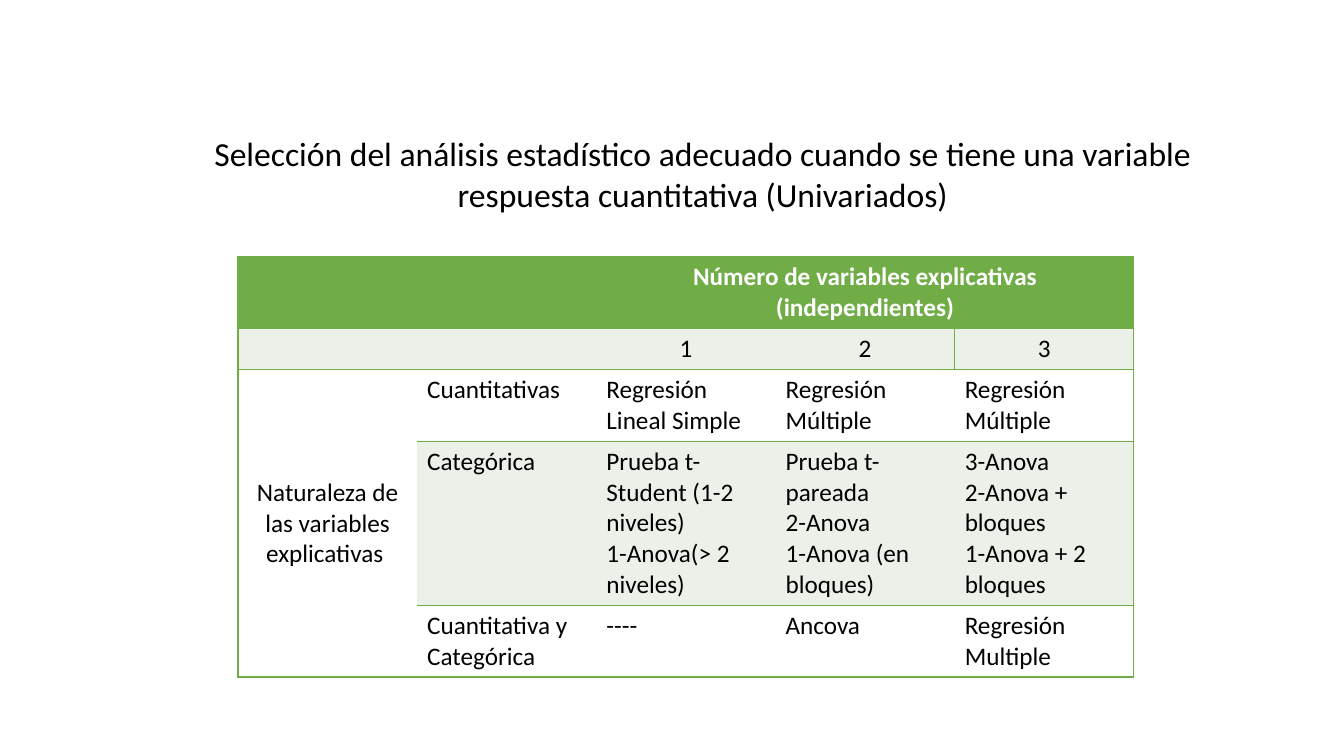
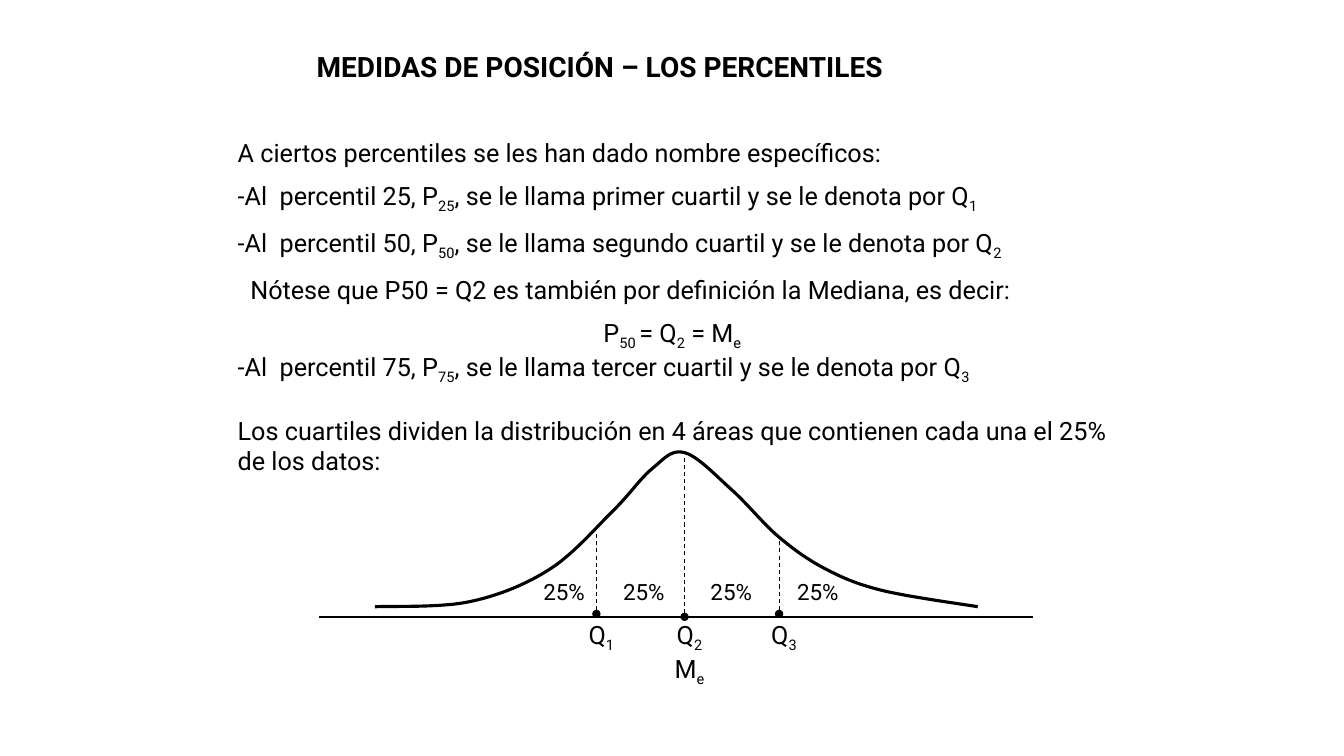
from dataclasses import dataclass

from lxml.etree import SubElement
from pptx import Presentation
from pptx.dml.color import RGBColor
from pptx.enum.dml import MSO_LINE_DASH_STYLE as Dash
from pptx.enum.shapes import MSO_CONNECTOR_TYPE as Connector
from pptx.enum.text import MSO_ANCHOR as Anchor, MSO_AUTO_SIZE as AutoSize, PP_ALIGN as Align
from pptx.oxml import parse_xml
from pptx.oxml.ns import nsdecls, qn
from pptx.util import Pt


@dataclass(frozen=True)
class Theme:
    ink: str = "000000"
    white: str = "FFFFFF"
    green: str = "70AD47"
    band: str = "EBF1E9"
    table_font: str = "Calibri"
    text_font: str = "Roboto"
    headline: int = 24
    heading: int = 20
    body: int = 18
    share: int = 16


THEME = Theme()
PLAIN_TABLE = "{2D5ABB26-0587-4C30-8999-92F81FD0307C}"

ANALYSIS_TITLE = (
    "Selección del análisis estadístico adecuado cuando se tiene una variable "
    "respuesta cuantitativa (Univariados)"
)
ANALYSIS_ROWS = [
    ["", "", "Número de variables explicativas (independientes)", "", ""],
    ["", "", "1", "2", "3"],
    ["Naturaleza de las variables explicativas ", "Cuantitativas",
     "Regresión Lineal Simple", "Regresión Múltiple", "Regresión Múltiple"],
    ["", "Categórica",
     "Prueba t-Student (1-2 niveles)\n1-Anova(> 2 niveles)",
     "Prueba t-pareada\n2-Anova\n1-Anova (en bloques)",
     "3-Anova\n2-Anova + bloques\n1-Anova + 2 bloques"],
    ["", "Cuantitativa y Categórica", "----", "Ancova", "Regresión Multiple"],
]
ROW_HEIGHTS = (51, 29.5, 51, 117, 51)
COLUMN_WIDTH = 128
MERGES = [((0, 0), (0, 1)), ((0, 2), (0, 4)), ((1, 0), (1, 1)), ((2, 0), (4, 0))]
HEADER_DIVIDER = (1, 4)

PERCENTILE_TITLE = "MEDIDAS DE POSICIÓN – LOS PERCENTILES"
PERCENTILE_TEXT = [
    ("A ciertos percentiles se les han dado nombre específicos:", Align.JUSTIFY, 0, 0),
    ("-Al  percentil 25, P|25|, se le llama primer cuartil y se le denota por Q|1", Align.JUSTIFY, 9, 0),
    ("-Al  percentil 50, P|50|, se le llama segundo cuartil y se le denota por Q|2", Align.JUSTIFY, 9, 0),
    ("Nótese que P50 = Q2 es también por definición la Mediana, es decir:", Align.JUSTIFY, 9, 9),
    ("P|50 |= Q|2| = M|e", Align.CENTER, 9, 0),
    ("-Al  percentil 75, P|75|, se le llama tercer cuartil y se le denota por Q|3", Align.LEFT, 0, 0),
    ("Los cuartiles dividen la distribución en 4 áreas que contienen cada una el 25% de los datos:",
     Align.JUSTIFY, 21, 0),
]
QUARTILES = [
    (("Q|1",), 426, 438.5, 380),
    (("Q|2", "M|e"), 489, 440.6, 327),
    (("Q|3",), 556.5, 438.5, 386),
]
SHARE_LABEL = "25%"
SHARE_LEFTS = (381, 438, 500.4, 562.3)
BELL_POINTS = [
    (267.8, 433.4), (335.5, 429.8), (392.4, 406.8), (437.8, 365), (465.8, 334.8), (488.9, 323.3),
    (522.7, 349.9), (556.6, 383.8), (590.4, 406.8), (630.7, 421.9), (698.4, 433.4),
]
CURVE_STEPS = 12


def rgb(value):
    return RGBColor.from_string(value)


def assign(target, values):
    for key, value in values.items():
        setattr(target, key, value)


def write(paragraph, marked_text, font, size, color=THEME.ink, bold=False, **layout):
    assign(paragraph, layout)
    for index, part in enumerate(marked_text.split("|")):
        run = paragraph.add_run()
        run.text = part
        assign(run.font, {"name": font, "size": Pt(size), "bold": bold})
        run.font.color.rgb = rgb(color)
        if index % 2:
            run.font._element.set("baseline", "-25000")


def next_paragraph(frame, index):
    return frame.add_paragraph() if index else frame.paragraphs[0]


def place(shape, left, top, width, height):
    assign(shape, {"left": Pt(left), "top": Pt(top), "width": Pt(width), "height": Pt(height)})
    assign(shape.text_frame, {
        "word_wrap": True, "auto_size": AutoSize.NONE, "vertical_anchor": Anchor.TOP,
    })
    return shape.text_frame


def add_text(slide, box):
    return place(slide.shapes.add_textbox(0, 0, 0, 0), *box)


def add_titled_slide(deck, text, box, font, size, align, bold=False):
    slide = deck.slides.add_slide(deck.slide_layouts[5])
    frame = place(slide.shapes.title, *box)
    write(frame.paragraphs[0], text, font, size, bold=bold, alignment=align, line_spacing=1.0)
    return slide


def add_line(slide, start, end, width, dash=None, dot=False):
    line = slide.shapes.add_connector(Connector.STRAIGHT, *(Pt(n) for n in (*start, *end)))
    line.line.color.rgb = rgb(THEME.ink)
    line.line.width = Pt(width)
    if dash:
        line.line.dash_style = dash
    if dot:
        SubElement(line.line._get_or_add_ln(), qn("a:headEnd"), type="oval")
    SubElement(line._element.spPr, qn("a:effectLst"))


def draw_borders(cell, sides):
    properties = cell._tc.get_or_add_tcPr()
    for index, side in enumerate(sides):
        properties.insert(index, parse_xml(
            f'<a:ln{side} {nsdecls("a")} w="{Pt(1)}"><a:solidFill>'
            f'<a:srgbClr val="{THEME.green}"/></a:solidFill></a:ln{side}>'
        ))


def fill_cell(cell, row, column, text):
    header = row == 0
    fill = THEME.green if header else THEME.band if row % 2 else THEME.white
    cell.fill.solid()
    cell.fill.fore_color.rgb = rgb(fill)
    centred = row < 2 or column == 0
    cell.vertical_anchor = Anchor.MIDDLE if header or column == 0 else Anchor.TOP
    for index, line in enumerate(text.split("\n")):
        write(next_paragraph(cell.text_frame, index), line, THEME.table_font, THEME.body,
              THEME.white if header else THEME.ink, header,
              alignment=Align.CENTER if centred else Align.LEFT)
    if not cell.is_spanned:
        left = "L" if column == 0 or (row, column) == HEADER_DIVIDER else ""
        last = column + (cell.span_width if cell.is_merge_origin else 1) == len(ANALYSIS_ROWS[0])
        draw_borders(cell, left + ("R" if last else "") + "TB")


def build_analysis(deck):
    slide = add_titled_slide(deck, ANALYSIS_TITLE, (141, 91.5, 722, 65.5),
                             THEME.table_font, THEME.headline, Align.CENTER)
    columns = len(ANALYSIS_ROWS[0])
    table = slide.shapes.add_table(
        len(ANALYSIS_ROWS), columns, Pt(170), Pt(183.5),
        Pt(COLUMN_WIDTH * columns), Pt(sum(ROW_HEIGHTS))).table
    assign(table, {"first_row": False, "horz_banding": False})
    table._tbl.tblPr.find(qn("a:tableStyleId")).text = PLAIN_TABLE
    for column in table.columns:
        column.width = Pt(COLUMN_WIDTH)
    for row, height in zip(table.rows, ROW_HEIGHTS):
        row.height = Pt(height)
    for first, last in MERGES:
        table.cell(*first).merge(table.cell(*last))
    for row, texts in enumerate(ANALYSIS_ROWS):
        for column, text in enumerate(texts):
            fill_cell(table.cell(row, column), row, column, text)


def smooth(points):
    padded = [points[0], *points, points[-1]]
    for before, start, end, after in zip(padded, padded[1:], padded[2:], padded[3:]):
        for step in range(1, CURVE_STEPS + 1):
            t = step / CURVE_STEPS
            yield tuple(
                Pt(b + t * (c - a) / 2 + t**2 * (2 * a - 5 * b + 4 * c - d) / 2
                   + t**3 * (3 * b - a - 3 * c + d) / 2)
                for a, b, c, d in zip(before, start, end, after)
            )


def add_bell(slide):
    outline = slide.shapes.build_freeform(*(Pt(n) for n in BELL_POINTS[0]))
    outline.add_line_segments(list(smooth(BELL_POINTS)), close=False)
    bell = outline.convert_to_shape()
    bell.shadow.inherit = False
    bell.fill.background()
    bell.line.color.rgb = rgb(THEME.ink)
    bell.line.width = Pt(2.25)


def build_percentiles(deck):
    slide = add_titled_slide(deck, PERCENTILE_TITLE, (219, 31.7, 516, 31),
                             THEME.text_font, THEME.heading, Align.LEFT, True)
    frame = add_text(slide, (162.7, 94.5, 635, 289))
    for index, (text, align, before, indent) in enumerate(PERCENTILE_TEXT):
        paragraph = next_paragraph(frame, index)
        write(paragraph, text, THEME.text_font, THEME.body, alignment=align, space_before=Pt(before))
        if indent:
            paragraph._p.get_or_add_pPr().set("marL", str(Pt(indent)))
    add_line(slide, (228, 440.6), (738, 440.6), 1.5)
    add_bell(slide)
    for labels, x, base, top in QUARTILES:
        add_line(slide, (x, base), (x, top), 0.75, Dash.DASH, dot=True)
        frame = add_text(slide, (x - 22, 438.5, 51, 24 * len(labels)))
        for index, label in enumerate(labels):
            write(next_paragraph(frame, index), label, THEME.text_font, THEME.body,
                  alignment=Align.CENTER)
    for left in SHARE_LEFTS:
        frame = add_text(slide, (left, 409.7, 57, 26.6))
        write(frame.paragraphs[0], SHARE_LABEL, THEME.text_font, THEME.share, alignment=Align.LEFT)


def main():
    deck = Presentation()
    assign(deck, {"slide_width": Pt(960), "slide_height": Pt(540)})
    build_analysis(deck)
    build_percentiles(deck)
    deck.save("out.pptx")


if __name__ == "__main__":
    main()
